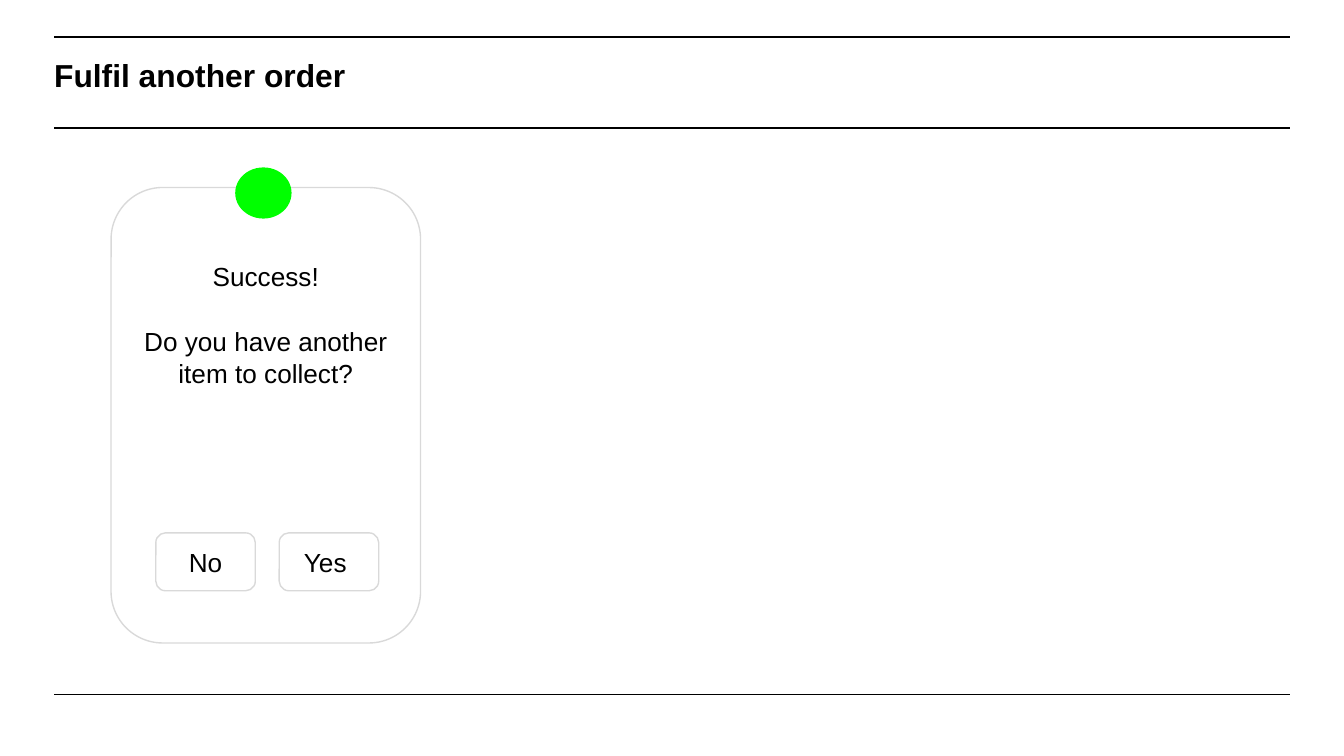
from pptx import Presentation
from pptx.dml.color import RGBColor
from pptx.enum.shapes import MSO_CONNECTOR, MSO_SHAPE
from pptx.enum.text import MSO_ANCHOR, MSO_AUTO_SIZE, PP_ALIGN
from pptx.oxml.ns import qn
from pptx.util import Pt
from lxml import etree

BLACK = RGBColor(0x00, 0x00, 0x00)
WHITE = RGBColor(0xFF, 0xFF, 0xFF)
GREY = RGBColor(0xD9, 0xD9, 0xD9)
GREEN = RGBColor(0x00, 0xFF, 0x00)

STRAIGHT = MSO_CONNECTOR.STRAIGHT
ROUNDED = MSO_SHAPE.ROUNDED_RECTANGLE
OVAL = MSO_SHAPE.OVAL
TOP, MIDDLE = MSO_ANCHOR.TOP, MSO_ANCHOR.MIDDLE
LEFT, CENTER = PP_ALIGN.LEFT, PP_ALIGN.CENTER
NO_AUTOFIT = MSO_AUTO_SIZE.NONE

FONT = "Arial"
PADDING = 7.2


def format_paragraph(paragraph, size, align, bold=False):
    paragraph.alignment = align
    paragraph.font.name = FONT
    paragraph.font.size = Pt(size)
    paragraph.font.bold = bold
    paragraph.font.color.rgb = BLACK


def set_insets(frame, left, top, right, bottom):
    frame.margin_left, frame.margin_top = Pt(left), Pt(top)
    frame.margin_right, frame.margin_bottom = Pt(right), Pt(bottom)


def add_rule(slide, left, right, y):
    rule = slide.shapes.add_connector(STRAIGHT, Pt(left), Pt(y), Pt(right), Pt(y))
    rule.line.color.rgb = BLACK
    rule.line.width = Pt(0.75)
    etree.SubElement(rule._element.spPr, qn("a:effectLst"))


def add_title(slide, text, left, top, width, height):
    title = slide.shapes.title
    title.left, title.top = Pt(left), Pt(top)
    title.width, title.height = Pt(width), Pt(height)
    frame = title.text_frame
    frame.text = text
    frame.word_wrap = True
    frame.auto_size = NO_AUTOFIT
    frame.vertical_anchor = TOP
    set_insets(frame, 0, 0, 0, 0)
    heading = frame.paragraphs[0]
    heading.line_spacing = 1.1
    format_paragraph(heading, 17, LEFT, bold=True)


def add_panel(slide, lines, left, top, width, height):
    """Add a grey-outlined rounded box with centred lines; return its text frame."""
    panel = slide.shapes.add_shape(ROUNDED, Pt(left), Pt(top), Pt(width), Pt(height))
    panel.shadow.inherit = False
    panel.adjustments[0] = 0.167
    panel.fill.solid()
    panel.fill.fore_color.rgb = WHITE
    panel.line.color.rgb = GREY
    panel.line.width = Pt(0.75)
    frame = panel.text_frame
    frame.text = "\n".join(lines)
    frame.word_wrap = True
    frame.vertical_anchor = MIDDLE
    set_insets(frame, PADDING, PADDING, PADDING, PADDING)
    for paragraph in frame.paragraphs:
        format_paragraph(paragraph, 14, CENTER)
    return frame


def add_status_light(slide, left, top, width, height):
    light = slide.shapes.add_shape(OVAL, Pt(left), Pt(top), Pt(width), Pt(height))
    light.shadow.inherit = False
    light.fill.solid()
    light.fill.fore_color.rgb = GREEN
    light.line.fill.background()


def add_phone_screen(slide, left, top, width, height):
    message = add_panel(
        slide,
        ["Success!", "Do you have another item to collect?"],
        left, top, width, height,
    )
    message.vertical_anchor = TOP
    message.margin_top = Pt(30.5)
    for paragraph in message.paragraphs:
        paragraph.line_spacing = 1.04
    message.paragraphs[1].space_before = Pt(17)

    add_status_light(slide, left + 66.5, top - 10.8, 30.2, 27.4)

    button_width, button_step = 53.3, 66.1
    for index, answer in enumerate(["No", "Yes "]):
        add_panel(
            slide, [answer],
            left + 24 + index * button_step, top + 185, button_width, 31,
        )


def main():
    presentation = Presentation()
    presentation.slide_width = Pt(720)
    presentation.slide_height = Pt(405)
    title_only = presentation.slide_layouts[5]
    slide = presentation.slides.add_slide(title_only)

    for y in (372, 19.8, 68.5):
        add_rule(slide, 29, 691, y)
    add_title(slide, "Fulfil another order", 29, 28.1, 662, 38.2)
    add_phone_screen(slide, 59.5, 100.5, 165.8, 244)

    presentation.save("out.pptx")


if __name__ == "__main__":
    main()
